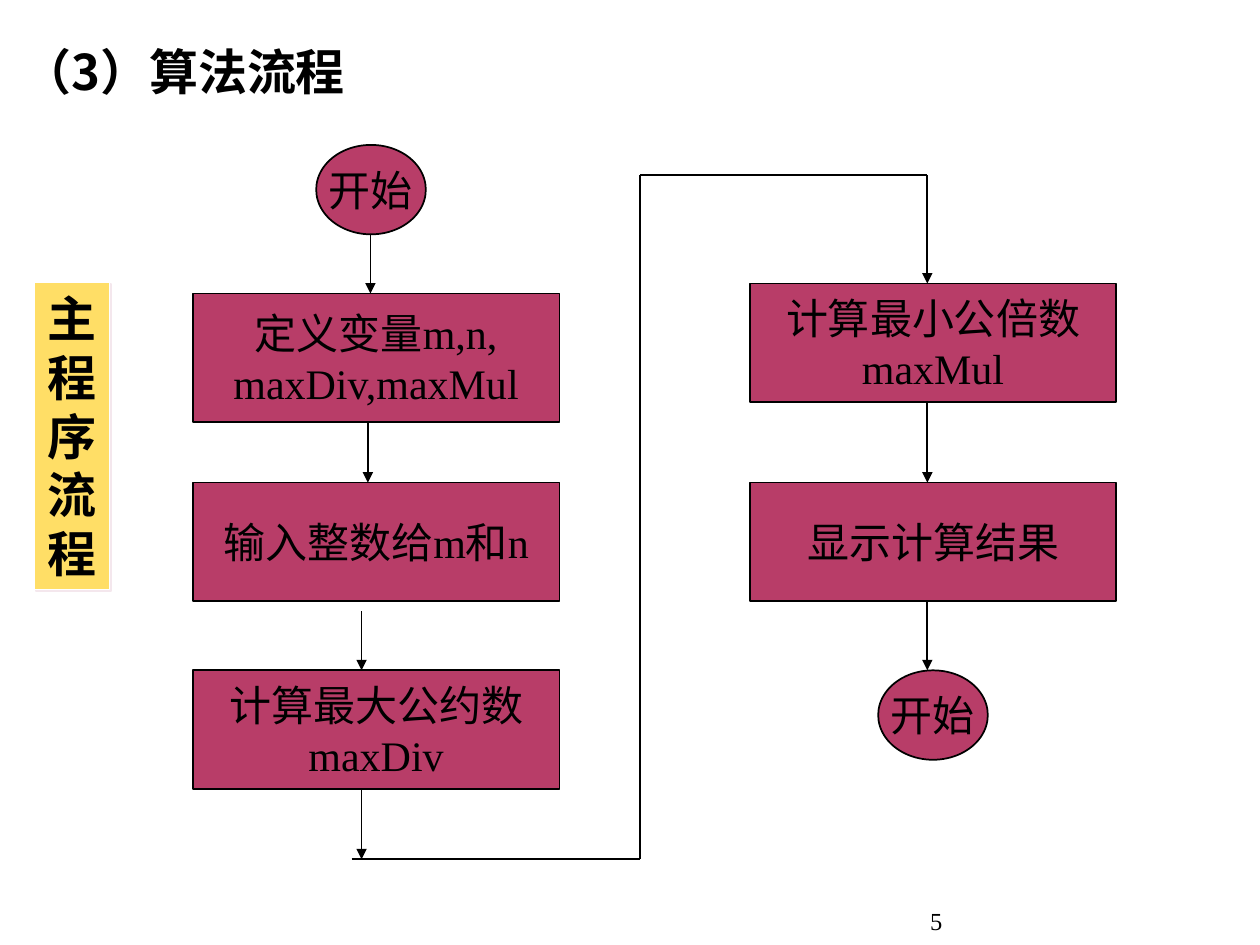
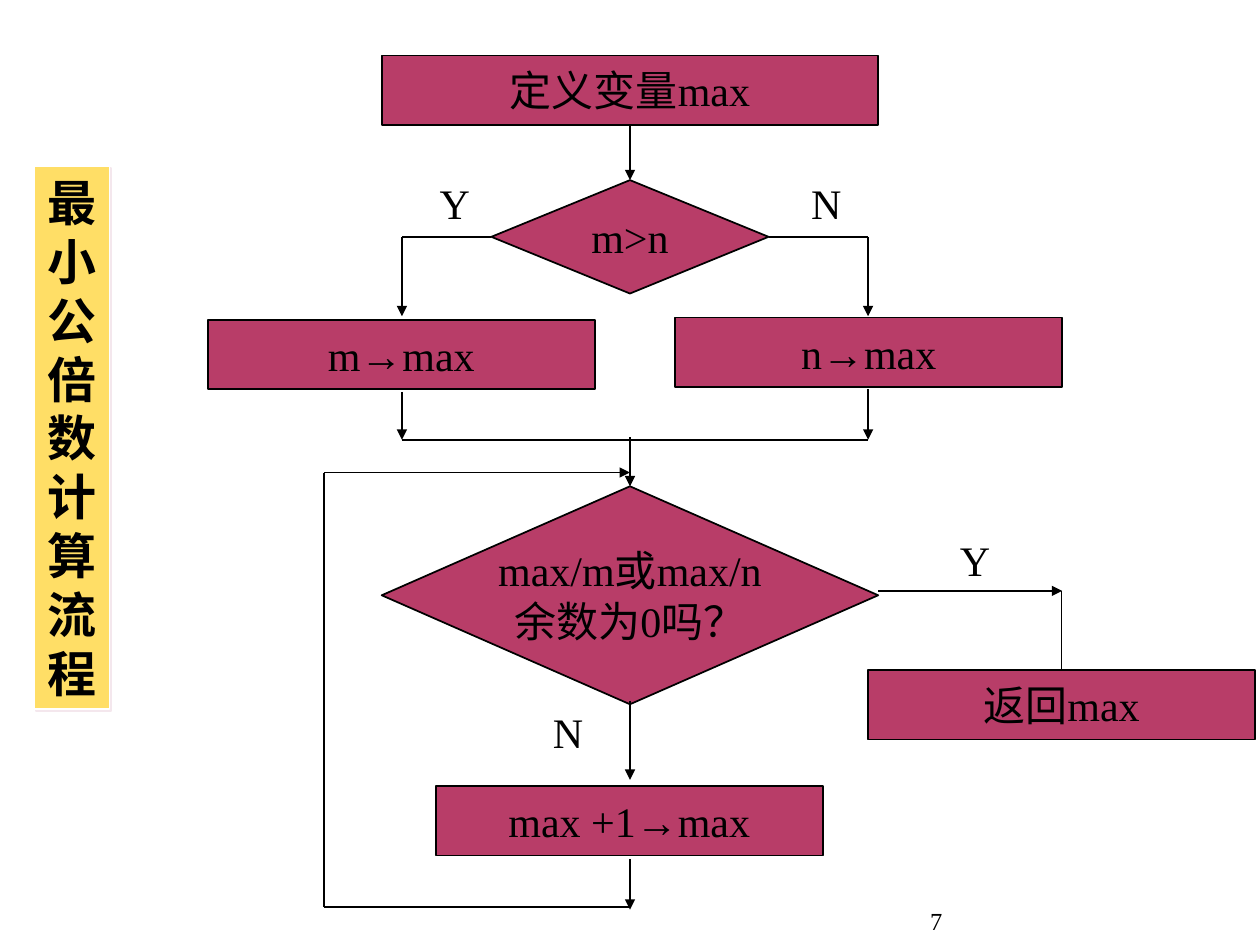
from dataclasses import dataclass
from itertools import pairwise

from lxml.etree import SubElement
from pptx import Presentation
from pptx.dml.color import RGBColor
from pptx.enum.shapes import MSO_CONNECTOR, MSO_SHAPE
from pptx.enum.text import MSO_ANCHOR, PP_ALIGN
from pptx.oxml.ns import qn
from pptx.util import Inches, Pt

COLUMNS, ROWS = 100, 75
CELL = 0.1  # inches per grid column and row

INK, STEP_FILL, BANNER_FILL = "000000", "B83D68", "FFDE66"
BANNER_LINE, BANNER_SHADOW = "FFFFFF", "F4E7ED"
SERIF, SANS = "Times New Roman", "Noto Sans CJK SC"

PROCESS = MSO_SHAPE.FLOWCHART_PROCESS
TERMINAL = MSO_SHAPE.FLOWCHART_CONNECTOR
DECISION = MSO_SHAPE.FLOWCHART_DECISION
TOP, LEFT, BOTTOM, RIGHT = range(4)

STEP_WIDTH, STEP_HEIGHT = 29.1, 9.4
BAR_WIDTH, BAR_HEIGHT = 30.7, 5.5
WIDE = 39.4
TERMINAL_SIZE = (8.7, 7.1)


def grid(count):
    return Inches(count * CELL)


def color(hex_string):
    return RGBColor.from_string(hex_string)


@dataclass
class Region:
    """A corner on the grid that parts are placed against."""
    page: object
    left: float
    top: float

    def place(self, x, y, width, height):
        return [grid(v) for v in (self.left + x, self.top + y, width, height)]

    def point(self, x, y):
        return grid(self.left + x), grid(self.top + y)


def write(box, lines, size=24, font=SERIF, bold=False, align=PP_ALIGN.LEFT,
          anchor=MSO_ANCHOR.TOP, wrap=True):
    frame = box.text_frame
    frame.word_wrap = wrap
    frame.vertical_anchor = anchor
    for number, line in enumerate(lines):
        para = frame.paragraphs[0] if number == 0 else frame.add_paragraph()
        para.text = line
        para.alignment = align
        para.font.size = Pt(size)
        para.font.bold = bold
        para.font.color.rgb = color(INK)
        para.font.name = font
        defaults = para._p.pPr.find(qn("a:defRPr"))
        SubElement(defaults, qn("a:ea"), typeface=SANS)


def add_block(region, kind, spot, fill, line):
    block = region.page.shapes.add_shape(kind, *region.place(*spot))
    block.shadow.inherit = False
    block.fill.solid()
    block.fill.fore_color.rgb = color(fill)
    block.line.color.rgb = color(line)
    block.line.width = Pt(1)
    return block


def add_step(region, kind, spot, *lines):
    step = add_block(region, kind, spot, STEP_FILL, INK)
    write(step, lines, align=PP_ALIGN.CENTER, anchor=MSO_ANCHOR.MIDDLE, wrap=False)
    return step


def add_text(region, spot, text, **style):
    box = region.page.shapes.add_textbox(*region.place(*spot))
    write(box, [text], **style)
    return box


def add_label(region, x, y, text):
    add_text(region, (x, y, 4.3, 5), text)


def add_route(region, *points, arrow=True, begin=None, end=None):
    """Join the points in turn; begin and end are (shape, side) pairs."""
    lines = []
    for start, stop in pairwise(points):
        line = region.page.shapes.add_connector(
            MSO_CONNECTOR.STRAIGHT, *region.point(*start), *region.point(*stop))
        line.line.color.rgb = color(INK)
        line.line.width = Pt(1)
        SubElement(line._element.spPr, qn("a:effectLst"))
        lines.append(line)
    if begin:
        lines[0].begin_connect(*begin)
    if end:
        lines[-1].end_connect(*end)
    if arrow:
        SubElement(lines[-1].line._get_or_add_ln(), qn("a:tailEnd"), type="triangle")


def add_banner(page, top, height, text):
    banner = add_block(Region(page, 2.7, top), MSO_SHAPE.RECTANGLE,
                       (0, 0, 6, height), BANNER_FILL, BANNER_LINE)
    effects = banner._element.spPr.find(qn("a:effectLst"))
    shadow = SubElement(effects, qn("a:outerShdw"), dist=str(Pt(1.4)),
                        dir=str(45 * 60000), algn="ctr", rotWithShape="0")
    SubElement(shadow, qn("a:srgbClr"), val=BANNER_SHADOW)
    write(banner, [text], size=28, bold=True, align=PP_ALIGN.CENTER)


def add_page(deck, number):
    page = deck.slides.add_slide(deck.slide_layouts[6])
    footer = add_text(Region(page, 68.4, 71.7), (0, 0, 6.4, 2.5), number, size=14,
                      align=PP_ALIGN.RIGHT, anchor=MSO_ANCHOR.BOTTOM)
    frame = footer.text_frame
    frame.margin_left = frame.margin_right = frame.margin_top = frame.margin_bottom = 0
    return page


def add_input_column(region):
    add_step(region, TERMINAL, (9.8, 0, *TERMINAL_SIZE), "开始")
    add_step(region, PROCESS, (0, 11.8, STEP_WIDTH, 10.2), "定义变量m,n,", "maxDiv,maxMul")
    add_step(region, PROCESS, (0, 26.8, STEP_WIDTH, STEP_HEIGHT), "输入整数给m和n")
    add_step(region, PROCESS, (0, 41.7, STEP_WIDTH, STEP_HEIGHT), "计算最大公约数", "maxDiv")
    for x, start, stop in [(14.1, 7.1, 11.8), (13.9, 22.1, 26.8),
                           (13.4, 37, 41.7), (13.4, 51.2, 56.7)]:
        add_route(region, (x, start), (x, stop))
    add_route(region, (12.6, 56.7), (35.5, 56.7), (35.5, 2.4), (58.3, 2.4), (58.3, 11))


def add_result_column(region):
    add_step(region, PROCESS, (0, 11, STEP_WIDTH, STEP_HEIGHT), "计算最小公倍数", "maxMul")
    add_step(region, PROCESS, (0, 26.8, STEP_WIDTH, STEP_HEIGHT), "显示计算结果")
    add_step(region, TERMINAL, (10.2, 41.7, *TERMINAL_SIZE), "开始")
    for start, stop in [(20.5, 26.8), (36.2, 41.7)]:
        add_route(region, (14.1, start), (14.1, stop))


def add_larger_choice(region):
    define = add_step(region, PROCESS, (13.8, 0, WIDE, BAR_HEIGHT), "定义变量max")
    compare = add_step(region, DECISION, (22.5, 9.9, 22, 9), "m>n")
    add_step(region, PROCESS, (0, 21, BAR_WIDTH, BAR_HEIGHT), "m→max")
    add_step(region, PROCESS, (37.1, 20.8, BAR_WIDTH, BAR_HEIGHT), "n→max")
    add_route(region, (33.5, 5.5), (33.5, 9.9), begin=(define, BOTTOM), end=(compare, TOP))

    merge = 30.5
    for corner, x, side, below in [(22.5, 15.4, LEFT, 26.7), (44.5, 52.4, RIGHT, 26.5)]:
        add_route(region, (corner, 14.4), (x, 14.4), (x, 20.7), begin=(compare, side))
        add_route(region, (x, below), (x, merge))
    add_route(region, (15.4, merge), (52.4, merge), arrow=False)
    add_label(region, 17.4, 9.2, "Y")
    add_label(region, 46.9, 9.2, "N")


def add_division_loop(region):
    middle = 24.3
    divide = add_step(region, DECISION, (4.6, 3.9, WIDE, 17.3), "max/m或max/n", "余数为0吗？")
    add_step(region, PROCESS, (8.9, 27.7, BAR_WIDTH, BAR_HEIGHT), "max +1→max")
    add_route(region, (middle, 0), (middle, 3.9), end=(divide, TOP))
    add_route(region, (middle, 20.9), (middle, 27.2))
    add_route(region, (middle, 33.5), (middle, 37.5))
    add_route(region, (middle, 37.3), (0, 37.3), (0, 2.8), (middle, 2.8))
    add_label(region, 17.2, 20.9, "N")


def add_return_branch(region):
    finish = add_step(region, PROCESS, (0, 11.3, BAR_WIDTH, BAR_HEIGHT), "返回max")
    add_route(region, (0.8, 5), (15.4, 5))
    add_route(region, (15.35, 5), (15.35, 11.3), arrow=False, end=(finish, TOP))
    add_label(region, 6.3, 0, "Y")


def build_main_flow(deck):
    page = add_page(deck, "5")
    add_text(Region(page, 0.8, 2.8), (0, 0, 49.2, 5.7), "（3）算法流程",
             size=28, font=SANS, bold=True)
    add_input_column(Region(page, 15.3, 11.5))
    add_result_column(Region(page, 59.5, 11.5))
    add_banner(page, 22.4, 24.4, "主程序流程")


def build_multiple_flow(deck):
    page = add_page(deck, "7")
    add_banner(page, 13.2, 43.1, "最小公倍数计算流程")
    add_larger_choice(Region(page, 16.5, 4.4))
    add_division_loop(Region(page, 25.7, 34.7))
    add_return_branch(Region(page, 68.9, 41.9))


def main():
    deck = Presentation()
    deck.slide_width, deck.slide_height = grid(COLUMNS), grid(ROWS)
    build_main_flow(deck)
    build_multiple_flow(deck)
    deck.save("out.pptx")


if __name__ == "__main__":
    main()
